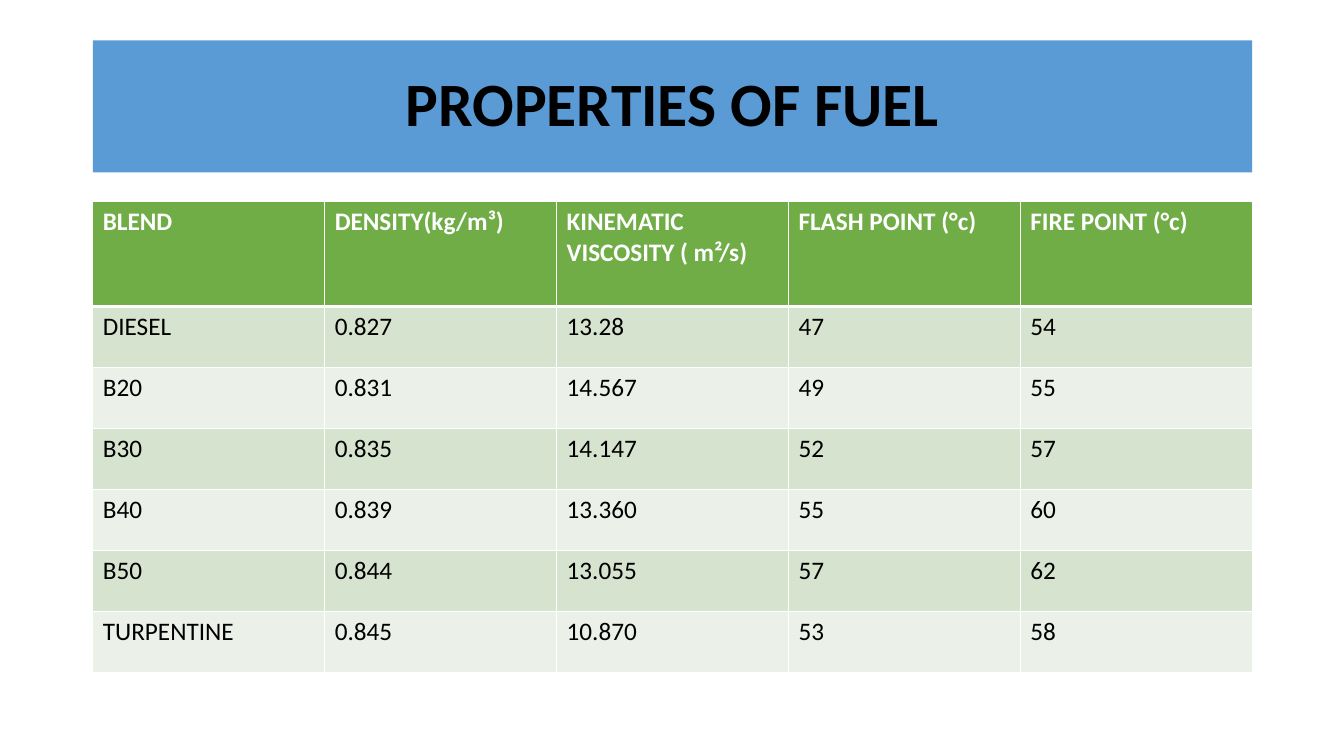
from pptx import Presentation
from pptx.dml.color import RGBColor
from pptx.enum.text import MSO_ANCHOR as Anchor, PP_ALIGN as Align
from pptx.oxml import parse_xml
from pptx.oxml.ns import nsdecls
from pptx.util import Inches, Pt

FUELS = [
    ("BLEND", "DENSITY(kg/m³)", "KINEMATIC VISCOSITY ( m²/s)", "FLASH POINT (°c)", "FIRE POINT (°c)"),
    ("DIESEL", "0.827", "13.28", "47", "54"),
    ("B20", "0.831", "14.567", "49", "55"),
    ("B30", "0.835", "14.147", "52", "57"),
    ("B40", "0.839", "13.360", "55", "60"),
    ("B50", "0.844", "13.055", "57", "62"),
    ("TURPENTINE", "0.845", "10.870", "53", "58"),
]


def paint(fill, color):
    fill.solid()
    fill.fore_color.rgb = RGBColor.from_string(color)


def write(frame, text, size=18, color="000000", bold=False, align=Align.LEFT, spacing=1.0):
    frame.word_wrap = True
    paragraph = frame.paragraphs[0]
    paragraph.alignment = align
    paragraph.line_spacing = spacing
    run = paragraph.add_run()
    run.text = text
    font = run.font
    font.name, font.size, font.bold = FuelSlide.FONT, Pt(size), bold
    paint(font.fill, color)


class FuelSlide:
    FONT = "Calibri"
    BANNER, HEADER = "5B9BD5", "70AD47"
    BANDS = ("EBF1E9", "D5E3CF")
    RULE = "FFFFFF"
    COLUMN, ROW = Inches(0.46), Inches(0.1)

    def __init__(self, deck):
        self.slide = deck.slides.add_slide(deck.slide_layouts[5])

    def place(self, column, row, columns, rows):
        return [int(n * unit) for n, unit in
                ((column, self.COLUMN), (row, self.ROW), (columns, self.COLUMN), (rows, self.ROW))]

    def title(self, text, *area):
        banner = self.slide.shapes.title
        banner.left, banner.top, banner.width, banner.height = self.place(*area)
        paint(banner.fill, self.BANNER)
        banner.text_frame.vertical_anchor = Anchor.MIDDLE
        write(banner.text_frame, text, size=44, bold=True, align=Align.CENTER, spacing=0.9)

    def borders(self, cell, top, bottom):
        properties = cell._tc.get_or_add_tcPr()
        for side, points in (("L", 1), ("R", 1), ("T", top), ("B", bottom)):
            properties.append(parse_xml(
                f'<a:ln{side} {nsdecls("a")} w="{Pt(points)}"><a:solidFill>'
                f'<a:srgbClr val="{self.RULE}"/></a:solidFill></a:ln{side}>'))

    def table(self, records, column, row, columns, heights):
        area = self.place(column, row, columns, sum(heights))
        grid = self.slide.shapes.add_table(len(records), len(records[0]), *area).table
        for index, (record, height) in enumerate(zip(records, heights)):
            grid.rows[index].height = int(height * self.ROW)
            header = index == 0
            for position, text in enumerate(record):
                cell = grid.cell(index, position)
                self.borders(cell, top=3 if index == 1 else 1, bottom=3 if header else 1)
                paint(cell.fill, self.HEADER if header else self.BANDS[index % 2])
                write(cell.text_frame, text, color="FFFFFF" if header else "000000", bold=header)


def main():
    deck = Presentation()
    deck.slide_width, deck.slide_height = Inches(13.33), Inches(7.5)
    page = FuelSlide(deck)
    page.title("PROPERTIES OF FUEL", 2, 4, 25, 13.1)
    page.table(FUELS, 2, 20, 25, [10.4] + [6.05] * (len(FUELS) - 1))
    deck.save("out.pptx")


if __name__ == "__main__":
    main()
